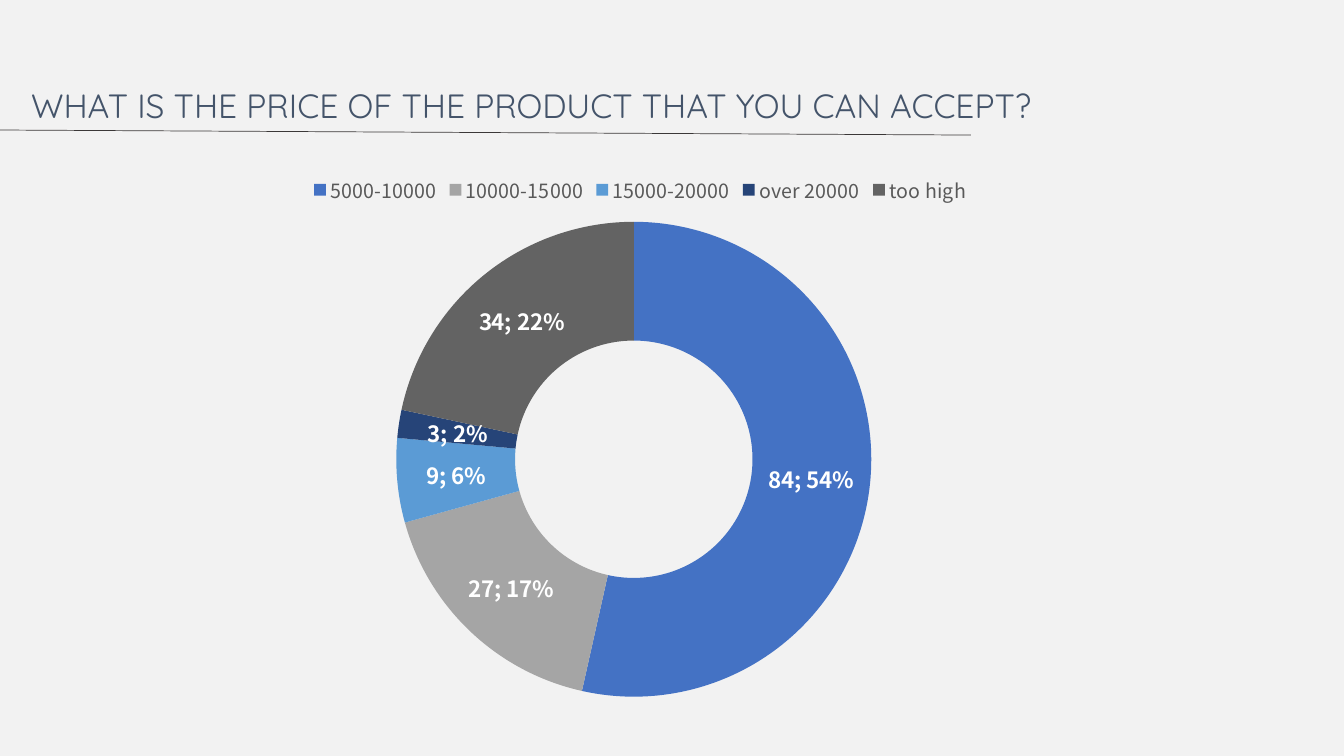
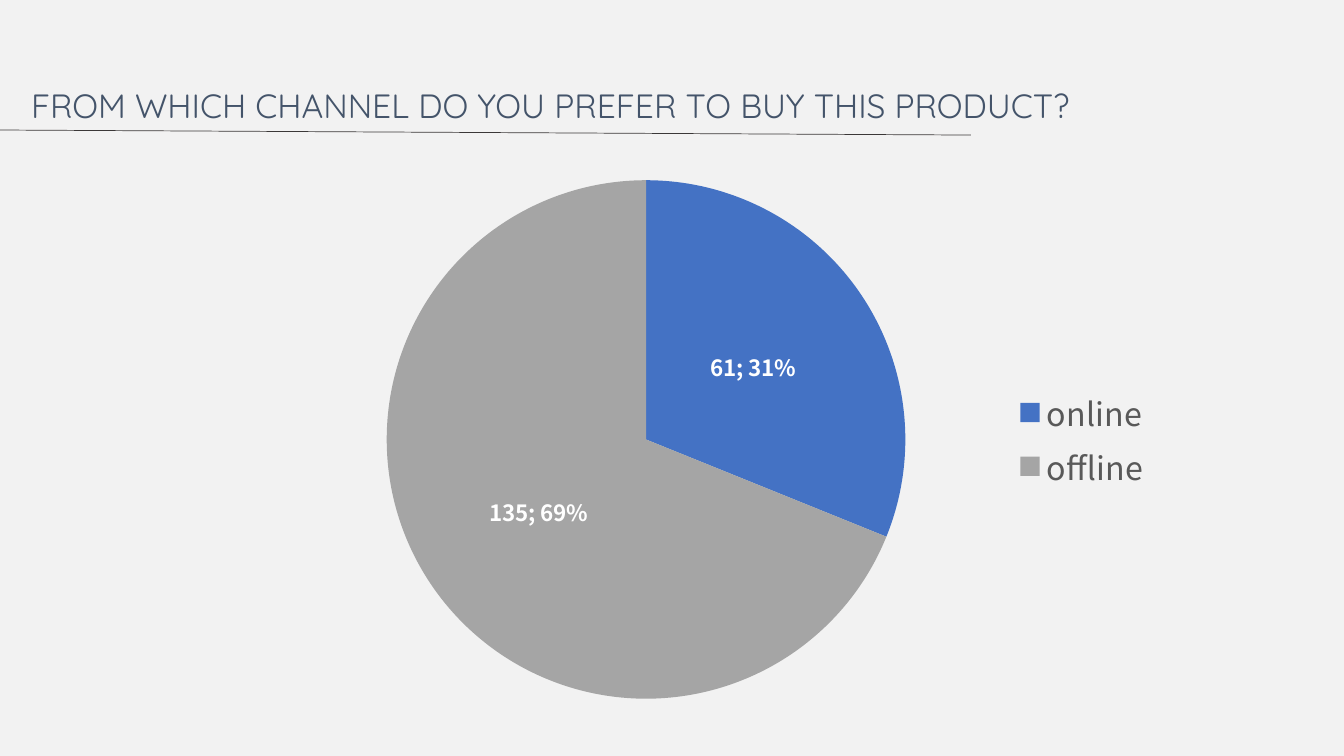
from lxml import etree
from pptx import Presentation
from pptx.chart.data import CategoryChartData
from pptx.dml.color import RGBColor
from pptx.enum import chart as kinds, shapes, text
from pptx.oxml import ns
from pptx.util import Inches, Pt

PAPER = RGBColor(0xF2, 0xF2, 0xF2)
SLATE = RGBColor(0x44, 0x54, 0x6A)
RULE = RGBColor(0x3B, 0x38, 0x38)
LEGEND = RGBColor(0x59, 0x59, 0x59)
WHITE = RGBColor(0xFF, 0xFF, 0xFF)
BLACK = RGBColor(0x00, 0x00, 0x00)
SLICES = [
    RGBColor(0x44, 0x72, 0xC4),
    RGBColor(0xA5, 0xA5, 0xA5),
    RGBColor(0x5B, 0x9B, 0xD5),
    RGBColor(0x26, 0x44, 0x78),
    RGBColor(0x63, 0x63, 0x63),
]
TITLE_FONT = "Quicksand"
CHART_FONT = "Noto Sans CJK SC"


class SurveyDeck:
    def __init__(self):
        self.deck = Presentation()
        self.deck.slide_width = Inches(13.33)
        self.deck.slide_height = Inches(7.5)
        self.page = None

    def apply(self, target, values):
        for name, value in values.items():
            setattr(target, name, value)

    def style_font(self, font, name, size, color, **extra):
        self.apply(font, {"name": name, "size": Pt(size), **extra})
        font.color.rgb = color

    def add_page(self, title):
        self.page = self.deck.slides.add_slide(self.deck.slide_layouts[6])
        fill = self.page.background.fill
        fill.solid()
        fill.fore_color.rgb = PAPER
        self.add_title(title)
        self.add_rule()

    def add_title(self, title):
        box = self.page.shapes.add_textbox(
            Inches(0.21), Inches(0.79), Inches(12.51), Inches(0.5))
        frame = box.text_frame
        self.apply(frame, {"word_wrap": True, "auto_size": text.MSO_AUTO_SIZE.SHAPE_TO_FIT_TEXT})
        span = frame.paragraphs[0].add_run()
        span.text = title
        self.style_font(span.font, TITLE_FONT, 24, SLATE)

    def add_rule(self):
        rule = self.page.shapes.add_connector(
            shapes.MSO_CONNECTOR.STRAIGHT,
            Inches(9.63), Inches(1.34), Inches(0), Inches(1.29))
        rule.line.color.rgb = RULE
        rule.line.width = Pt(0.5)
        etree.SubElement(rule.element.spPr, ns.qn("a:effectLst"))

    def add_answers(self, kind, place, answers, legend_side, legend_size, label_place=None):
        data = CategoryChartData()
        data.categories = list(answers)
        data.add_series("Series 1", list(answers.values()))
        frame = self.page.shapes.add_chart(kind, *map(Inches, place), data)
        chart = frame.chart
        self.apply(chart, {"has_title": False, "has_legend": True})
        self.style_font(chart.font, CHART_FONT, 10, BLACK)
        self.apply(chart.legend, {"position": legend_side, "include_in_layout": False})
        self.style_font(chart.legend.font, CHART_FONT, legend_size, LEGEND)
        plot = chart.plots[0]
        plot.vary_by_categories = True
        series = plot.series[0]
        for index, color in enumerate(SLICES[:len(answers)]):
            fill = series.points[index].format.fill
            fill.solid()
            fill.fore_color.rgb = color
        self.add_labels(series.data_labels, label_place)

    def add_labels(self, labels, place):
        self.apply(labels, {"show_value": True, "show_percentage": True})
        self.style_font(labels.font, CHART_FONT, 16, WHITE, bold=True)
        if place is not None:
            labels.position = place
        separator = etree.Element(ns.qn("c:separator"))
        separator.text = "; "
        labels._element.find(ns.qn("c:showBubbleSize")).addnext(separator)


survey = SurveyDeck()

survey.add_page("WHAT IS THE PRICE OF THE PRODUCT THAT YOU CAN ACCEPT?")
survey.add_answers(
    kinds.XL_CHART_TYPE.DOUGHNUT, (1.58, 1.63, 9.54, 5.42),
    {"5000-10000": 84, "10000-15000": 27, "15000-20000": 9, "over 20000": 3, "too high": 34},
    kinds.XL_LEGEND_POSITION.TOP, 14)

survey.add_page("FROM WHICH CHANNEL DO YOU PREFER TO BUY THIS PRODUCT?")
survey.add_answers(
    kinds.XL_CHART_TYPE.PIE, (2.8, 1.65, 8.73, 5.42),
    {"online": 61, "offline": 135},
    kinds.XL_LEGEND_POSITION.RIGHT, 23, kinds.XL_LABEL_POSITION.CENTER)

survey.deck.save("out.pptx")
